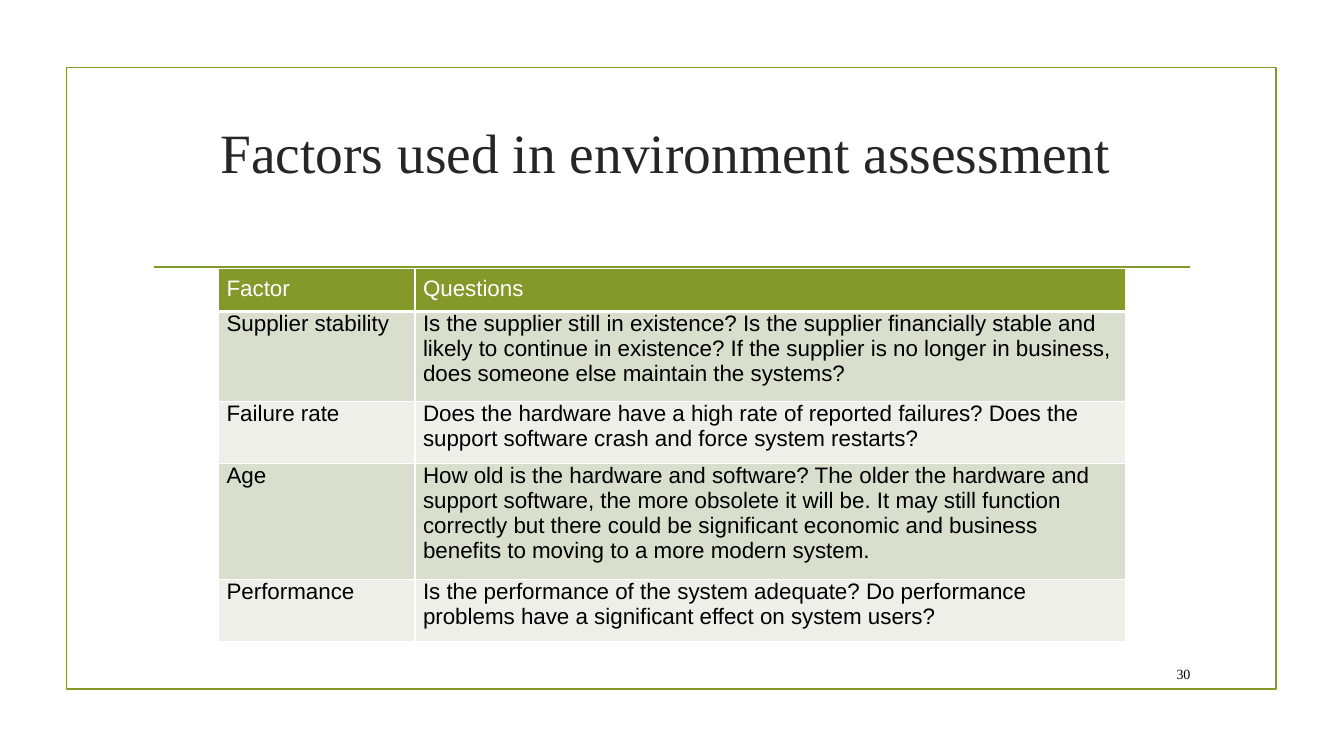
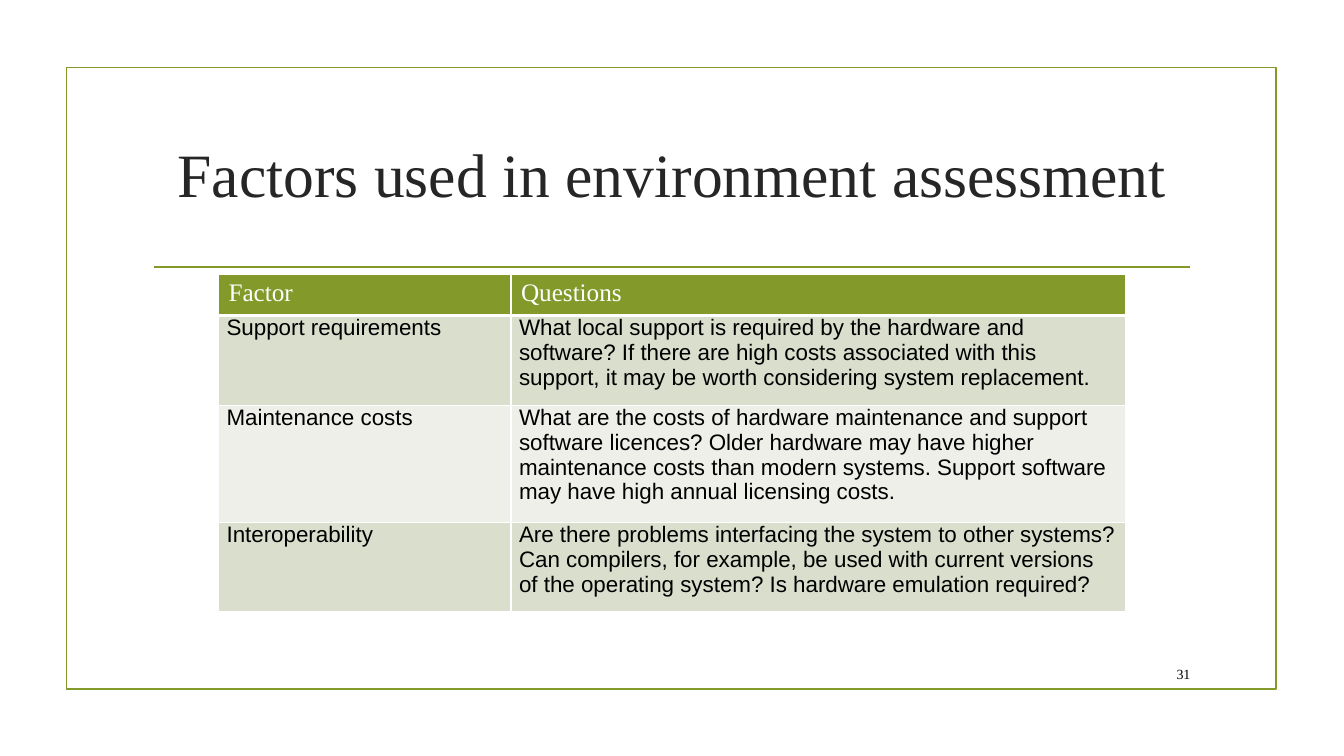
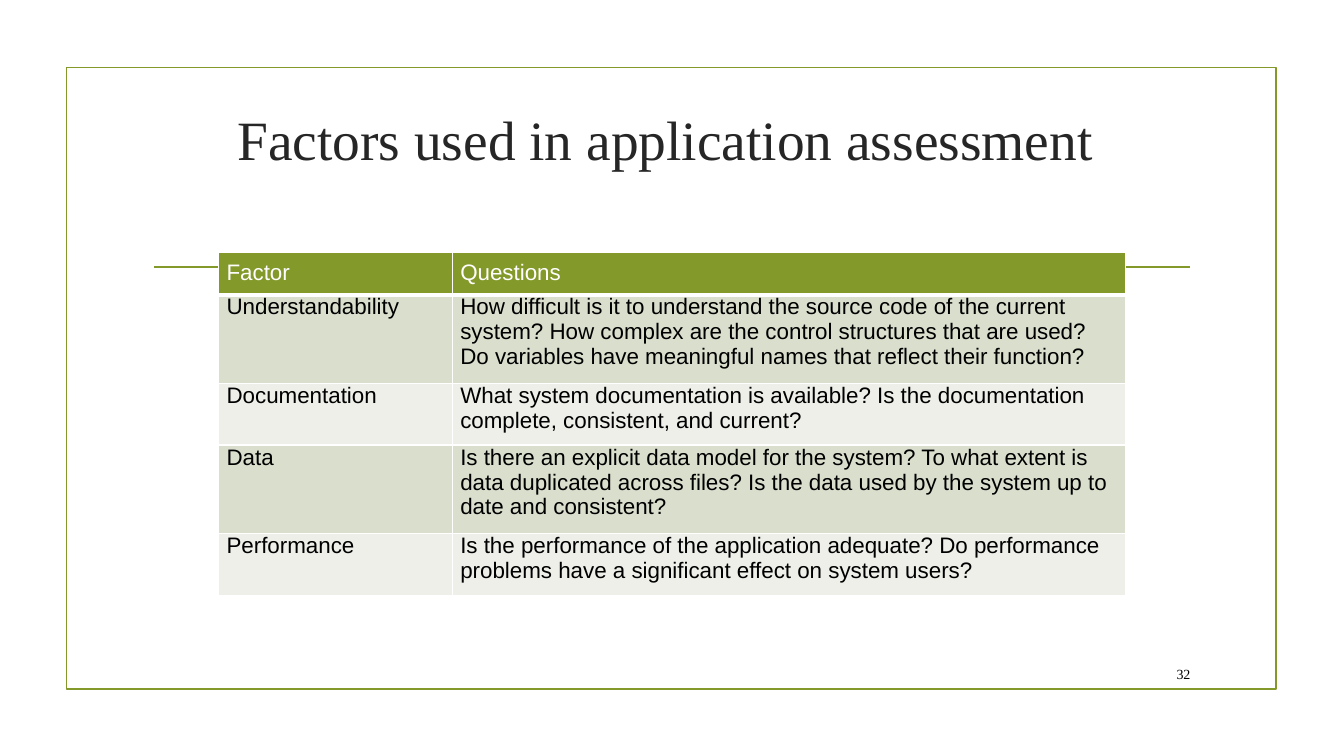
from lxml import etree
from pptx import Presentation
from pptx.dml.color import RGBColor
from pptx.enum import shapes, text
from pptx.oxml import ns
from pptx.util import Cm, Pt

# Shared look, lengths in centimetres
GREEN, WHITE, BLACK, CHARCOAL = "83992A", "FFFFFF", "000000", "262626"
BANDS = ["D9DECD", "EDEFE8"]
SERIF, SANS = "Times New Roman", "Arial"
FRAME_BOX = (1.68, 1.70, 30.48, 15.67)
RULE_LEFT, RULE_RIGHT, RULE_Y = 3.89, 30, 6.73
NUMBER_BOX = (28.75, 16.59, 1.5, 0.79)
TABLE_LEFT, TABLE_WIDTH = 5.51, 22.86

# Cell insets: left, top, right, bottom
TIGHT = (0.2, 0, 0.2, 0.2)
EVEN = (0.2, 0.2, 0.2, 0.2)
ROOMY = (0.25, 0.13, 0.25, 0.13)


def colour(hex_code):
    return RGBColor.from_string(hex_code)


def style(paragraph, font, size, hex_code):
    paragraph.font.name = font
    paragraph.font.size = Pt(size)
    paragraph.font.color.rgb = colour(hex_code)


def draw_frame(slide):
    """Green outline and the rule under the title."""
    frame = slide.shapes.add_shape(shapes.MSO_SHAPE.RECTANGLE, *map(Cm, FRAME_BOX))
    frame.shadow.inherit = False
    frame.fill.background()
    rule = slide.shapes.add_connector(
        shapes.MSO_CONNECTOR.STRAIGHT,
        Cm(RULE_LEFT), Cm(RULE_Y), Cm(RULE_RIGHT), Cm(RULE_Y))
    etree.SubElement(rule._element.spPr, ns.qn("a:effectLst"))
    for outline in (frame.line, rule.line):
        outline.color.rgb = colour(GREEN)
        outline.width = Pt(1.25)


def draw_text(slide, box, words, size, hex_code, align, top_inset=0.13):
    """One serif line, centred vertically in its box."""
    frame = slide.shapes.add_textbox(*map(Cm, box)).text_frame
    frame.word_wrap = True
    frame.vertical_anchor = text.MSO_ANCHOR.MIDDLE
    frame.margin_top = Cm(top_inset)
    line = frame.paragraphs[0]
    line.text = words
    line.alignment = align
    style(line, SERIF, size, hex_code)


def draw_borders(cell, bottom_width):
    properties = cell._tc.get_or_add_tcPr()
    for side, width in (("L", 1), ("R", 1), ("T", 1), ("B", bottom_width)):
        border = etree.SubElement(properties, ns.qn("a:ln" + side), w=str(Pt(width)))
        fill = etree.SubElement(border, ns.qn("a:solidFill"))
        etree.SubElement(fill, ns.qn("a:srgbClr"), val=WHITE)


def fill_cell(cell, words, background, font, size, ink, insets, space_after, bottom_width):
    draw_borders(cell, bottom_width)
    cell.fill.solid()
    cell.fill.fore_color.rgb = colour(background)
    (cell.margin_left, cell.margin_top,
     cell.margin_right, cell.margin_bottom) = map(Cm, insets)
    paragraph = cell.text_frame.paragraphs[0]
    paragraph.text = words
    paragraph.space_after = Pt(space_after)
    style(paragraph, font, size, ink)


def draw_factors(slide, top, factor_width, heights, factors, header):
    """Table of factors and questions; header is font, size, insets, space after."""
    table = slide.shapes.add_table(
        len(heights), 2, Cm(TABLE_LEFT), Cm(top), Cm(TABLE_WIDTH), Cm(sum(heights))).table
    table.first_row = table.horz_banding = False
    table.columns[0].width = Cm(factor_width)
    table.columns[1].width = Cm(TABLE_WIDTH - factor_width)
    header_font, header_size, header_insets, header_space = header
    for row, (height, entries) in enumerate(zip(heights, [("Factor", "Questions"), *factors])):
        table.rows[row].height = Cm(height)
        for column, words in enumerate(entries):
            cell = table.cell(row, column)
            if row == 0:
                fill_cell(cell, words, GREEN, header_font, header_size, WHITE,
                          header_insets, header_space, 3)
            else:
                fill_cell(cell, words, BANDS[(row - 1) % 2], SANS, 16, BLACK, TIGHT, 6, 1)


def add_assessment(deck, number, title, title_box, title_size, top, factor_width,
                   heights, factors, header=(SANS, 16, EVEN, 6)):
    slide = deck.slides.add_slide(deck.slide_layouts[6])
    draw_frame(slide)
    draw_text(slide, title_box, title, title_size, CHARCOAL, text.PP_ALIGN.CENTER, 0.38)
    draw_factors(slide, top, factor_width, heights, factors, header)
    draw_text(slide, NUMBER_BOX, str(number), 10, BLACK, text.PP_ALIGN.RIGHT)


ENVIRONMENT = [
    ("Supplier stability",
     "Is the supplier still in existence? Is the supplier financially stable and likely to "
     "continue in existence? If the supplier is no longer in business, does someone else "
     "maintain the systems?"),
    ("Failure rate",
     "Does the hardware have a high rate of reported failures? Does the support software "
     "crash and force system restarts?"),
    ("Age",
     "How old is the hardware and software? The older the hardware and support software, "
     "the more obsolete it will be. It may still function correctly but there could be "
     "significant economic and business benefits to moving to a more modern system."),
    ("Performance",
     "Is the performance of the system adequate? Do performance problems have a "
     "significant effect on system users?"),
]
ENVIRONMENT_CONTINUED = [
    ("Support requirements",
     "What local support is required by the hardware and software? If there are high costs "
     "associated with this support, it may be worth considering system replacement."),
    ("Maintenance costs",
     "What are the costs of hardware maintenance and support software licences? Older "
     "hardware may have higher maintenance costs than modern systems. Support software may "
     "have high annual licensing costs."),
    ("Interoperability",
     "Are there problems interfacing the system to other systems? Can compilers, for "
     "example, be used with current versions of the operating system? Is hardware "
     "emulation required?"),
]
APPLICATION = [
    ("Understandability",
     "How difficult is it to understand the source code of the current system? How complex "
     "are the control structures that are used? Do variables have meaningful names that "
     "reflect their function?"),
    ("Documentation",
     "What system documentation is available? Is the documentation complete, consistent, "
     "and current?"),
    ("Data",
     "Is there an explicit data model for the system? To what extent is data duplicated "
     "across files? Is the data used by the system up to date and consistent?"),
    ("Performance",
     "Is the performance of the application adequate? Do performance problems have a "
     "significant effect on system users?"),
]


def main():
    deck = Presentation()
    deck.slide_width, deck.slide_height = Cm(33.87), Cm(19.05)
    add_assessment(deck, 30, "Factors used in environment assessment ",
                   (3.61, 2.72, 26.67, 1.91), 39.6, 6.76, 4.95,
                   [1.09, 2.26, 1.57, 2.92, 1.57], ENVIRONMENT)
    add_assessment(deck, 31, "Factors used in environment assessment",
                   (3.61, 2.72, 26.67, 3), 44, 6.91, 7.37,
                   [1.04, 2.26, 2.95, 2.26], ENVIRONMENT_CONTINUED,
                   header=(SERIF, 18, ROOMY, 0))
    add_assessment(deck, 32, "Factors used in application assessment ",
                   (TABLE_LEFT, 1.68, TABLE_WIDTH, 3.38), 39.6, 6.35, 5.89,
                   [1.04, 2.08, 1.45, 2.08, 1.45], APPLICATION)
    deck.save("out.pptx")


if __name__ == "__main__":
    main()
